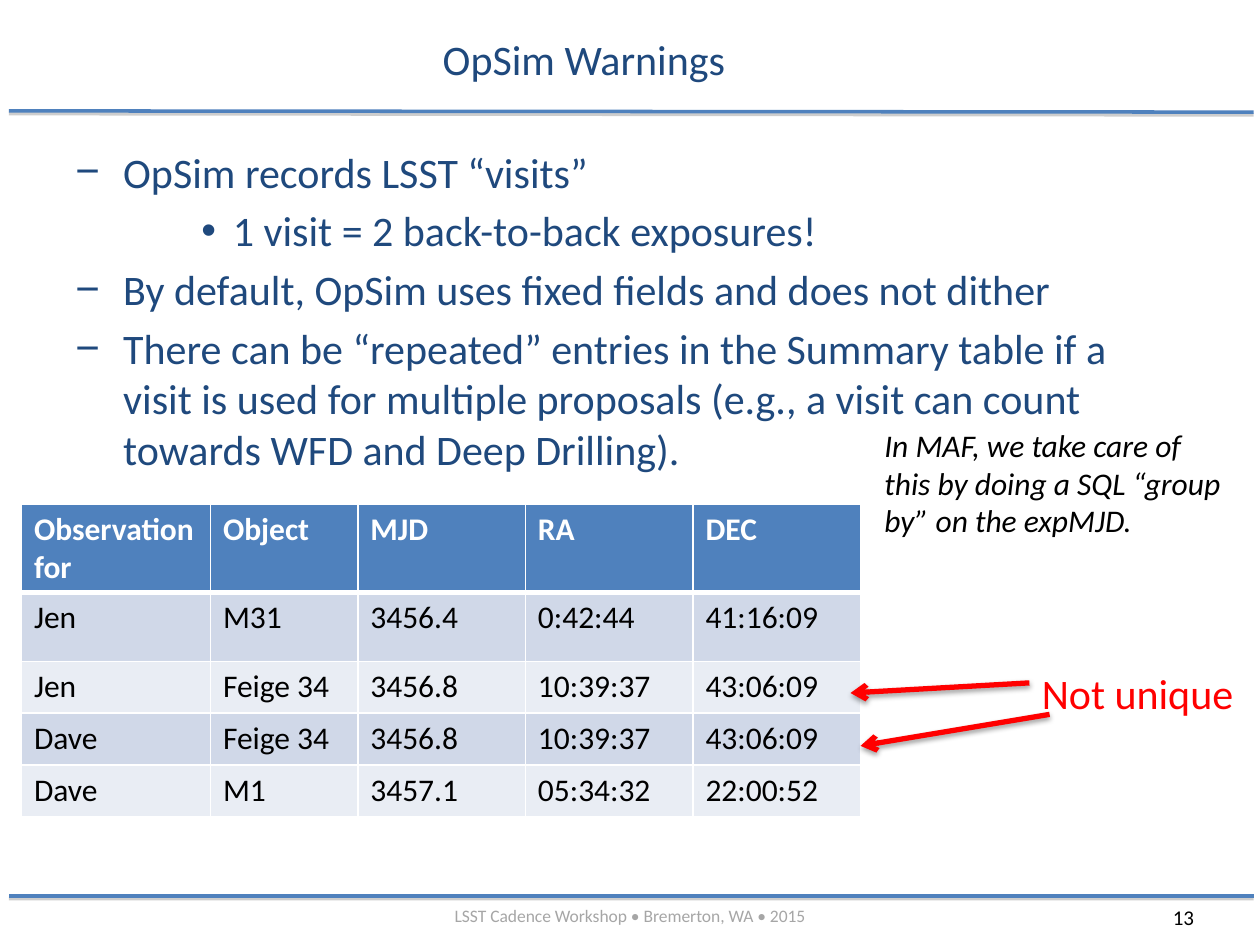
from dataclasses import dataclass

from lxml import etree
from pptx import Presentation
from pptx.dml.color import RGBColor
from pptx.enum import shapes, text
from pptx.oxml import ns
from pptx.util import Inches, Pt


@dataclass(frozen=True)
class Theme:
    font: str = "Calibri"
    navy: str = "1F497D"
    blue: str = "4F81BD"
    band_dark: str = "D0D8E8"
    band_light: str = "E9EDF4"
    red: str = "FF0000"
    black: str = "000000"
    white: str = "FFFFFF"
    grey: str = "A6A6A6"
    rule_shadow: str = "808080"
    large: int = 24
    medium: int = 18
    small: int = 12
    tiny: int = 10


THEME = Theme()

# (level, text)
BULLETS = [
    (0, "OpSim records LSST “visits”"),
    (1, "1 visit = 2 back-to-back exposures!"),
    (0, "By default, OpSim uses fixed fields and does not dither"),
    (0, "There can be “repeated” entries in the Summary table if a visit is used for "
        "multiple proposals (e.g., a visit can count towards WFD and Deep Drilling)."),
]
# level: (character, left margin, hanging indent)
BULLET_STYLES = {0: ("−", 0.38, 0.38), 1: ("•", 1.25, 0.25)}

OBSERVATIONS = [
    ["Observation for", "Object", "MJD", "RA", "DEC"],
    ["Jen", "M31", "3456.4", "0:42:44", "41:16:09"],
    ["Jen", "Feige 34", "3456.8", "10:39:37", "43:06:09"],
    ["Dave", "Feige 34", "3456.8", "10:39:37", "43:06:09"],
    ["Dave", "M1", "3457.1", "05:34:32", "22:00:52"],
]
COLUMN_WIDTHS = [1.5, 1.17, 1.33, 1.33, 1.33]
ROW_HEIGHTS = [0.7, 0.55, 0.41, 0.41, 0.41]


def add_xml(parent, tag, **attributes):
    return etree.SubElement(parent, ns.qn(tag), attributes)


def write(p, content, size=THEME.large, color=THEME.navy, bold=False, italic=False, align=None):
    p.alignment = align
    r = p.add_run()
    r.text = content
    r.font.name = THEME.font
    r.font.size = Pt(size)
    r.font.color.rgb = RGBColor.from_string(color)
    r.font.bold = bold
    r.font.italic = italic


def add_text_frame(s, left, top, width, height):
    box = s.shapes.add_textbox(Inches(left), Inches(top), Inches(width), Inches(height))
    tf = box.text_frame
    tf.word_wrap = True
    return tf


def add_label(s, box, content, anchor=text.MSO_ANCHOR.TOP, **style):
    tf = add_text_frame(s, *box)
    tf.vertical_anchor = anchor
    write(tf.paragraphs[0], content, **style)


def add_bullets(s, box, items):
    tf = add_text_frame(s, *box)
    for i, (level, content) in enumerate(items):
        p = tf.add_paragraph() if i else tf.paragraphs[0]
        p.level = level
        mark, margin, hanging = BULLET_STYLES[level]
        pPr = p._p.get_or_add_pPr()
        pPr.set("marL", str(Inches(margin)))
        pPr.set("indent", str(-Inches(hanging)))
        add_xml(pPr, "a:buFont", typeface="Arial")
        add_xml(pPr, "a:buChar", char=mark)
        if i:
            p.space_before = Pt(0.2 * THEME.large)
        write(p, content)


def add_line(s, start, end, color, width, shadow, blur=0, arrow=False):
    """Draw a line with a soft shadow below it and, if asked, an arrowhead at its end."""
    points = [Inches(v) for v in (*start, *end)]
    line = s.shapes.add_connector(shapes.MSO_CONNECTOR.STRAIGHT, *points)
    line.line.color.rgb = RGBColor.from_string(color)
    line.line.width = Pt(width)
    if arrow:
        add_xml(line.line._get_or_add_ln(), "a:tailEnd", type="arrow")
    effects = add_xml(line._element.spPr, "a:effectLst")
    outer = add_xml(effects, "a:outerShdw", blurRad=str(Pt(blur)), dist=str(Pt(1.6)),
                    dir="5400000", rotWithShape="0")
    add_xml(add_xml(outer, "a:srgbClr", val=shadow), "a:alpha", val="38000")


def set_borders(cell, color, bottom):
    tcPr = cell._tc.get_or_add_tcPr()
    widths = {"a:lnL": 1, "a:lnR": 1, "a:lnT": 1, "a:lnB": bottom}
    for i, (tag, width) in enumerate(widths.items()):
        ln = etree.Element(ns.qn(tag), w=str(Pt(width)))
        add_xml(add_xml(ln, "a:solidFill"), "a:srgbClr", val=color)
        tcPr.insert(i, ln)


def add_observation_table(s, left, top):
    frame = s.shapes.add_table(len(ROW_HEIGHTS), len(COLUMN_WIDTHS), Inches(left), Inches(top),
                               Inches(sum(COLUMN_WIDTHS)), Inches(sum(ROW_HEIGHTS)))
    table = frame.table
    for column, width in zip(table.columns, COLUMN_WIDTHS):
        column.width = Inches(width)
    for row, height in zip(table.rows, ROW_HEIGHTS):
        row.height = Inches(height)
    for i, values in enumerate(OBSERVATIONS):
        header = i == 0
        band = THEME.band_dark if i % 2 else THEME.band_light
        for j, value in enumerate(values):
            cell = table.cell(i, j)
            cell.fill.solid()
            cell.fill.fore_color.rgb = RGBColor.from_string(THEME.blue if header else band)
            set_borders(cell, THEME.white, bottom=3 if header else 1)
            write(cell.text_frame.paragraphs[0], value, size=THEME.medium, bold=header,
                  color=THEME.white if header else THEME.black)


def main():
    prs = Presentation()
    prs.slide_width, prs.slide_height = Inches(10), Inches(7.5)
    s = prs.slides.add_slide(prs.slide_layouts[6])
    center = text.PP_ALIGN.CENTER

    for right_y, left_y in [(0.89, 0.88), (7.11, 7.11)]:
        add_line(s, (9.95, right_y), (0.07, left_y), THEME.blue, 2, THEME.rule_shadow)
    add_label(s, (9.21, 7.13, 0.62, 0.3), "13", size=THEME.small, color=THEME.black)
    add_label(s, (0.5, 7.13, 9, 0.27), "LSST Cadence Workshop • Bremerton, WA • 2015",
              size=THEME.tiny, color=THEME.grey, align=center)

    add_label(s, (1.25, 0.16, 6.77, 0.61), "OpSim Warnings",
              anchor=text.MSO_ANCHOR.MIDDLE, align=center)
    add_bullets(s, (0.5, 1.11, 9, 1.89), BULLETS)
    add_observation_table(s, 0.17, 4)

    for start, end in [((8.17, 5.42), (6.75, 5.5)), ((8.33, 5.67), (6.83, 5.92))]:
        add_line(s, start, end, THEME.red, 3, THEME.black, blur=3.1, arrow=True)
    add_label(s, (8.17, 5.25, 1.83, 0.5), "Not unique", color=THEME.red)
    add_label(s, (6.92, 3.33, 2.92, 1.01),
              "In MAF, we take care of this by doing a SQL “group by” on the expMJD.",
              size=THEME.medium, color=THEME.black, italic=True)

    prs.save("out.pptx")


if __name__ == "__main__":
    main()
